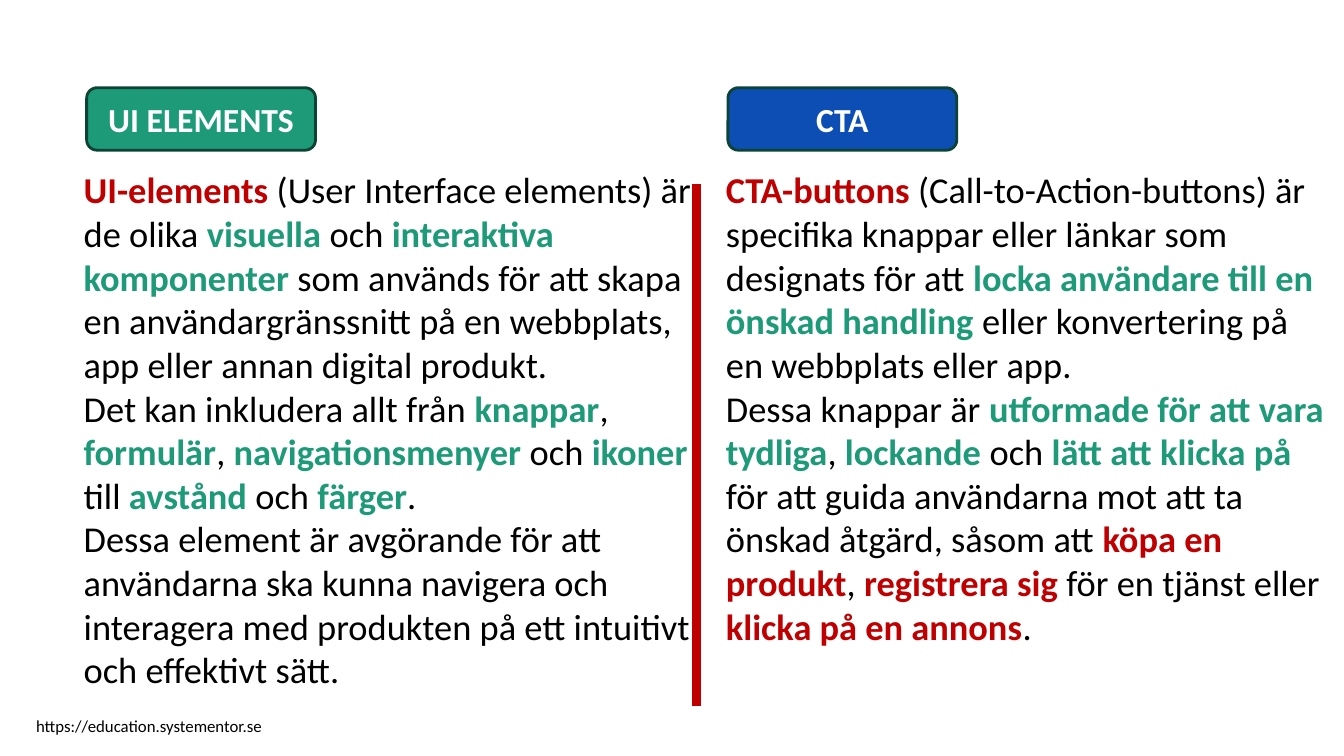
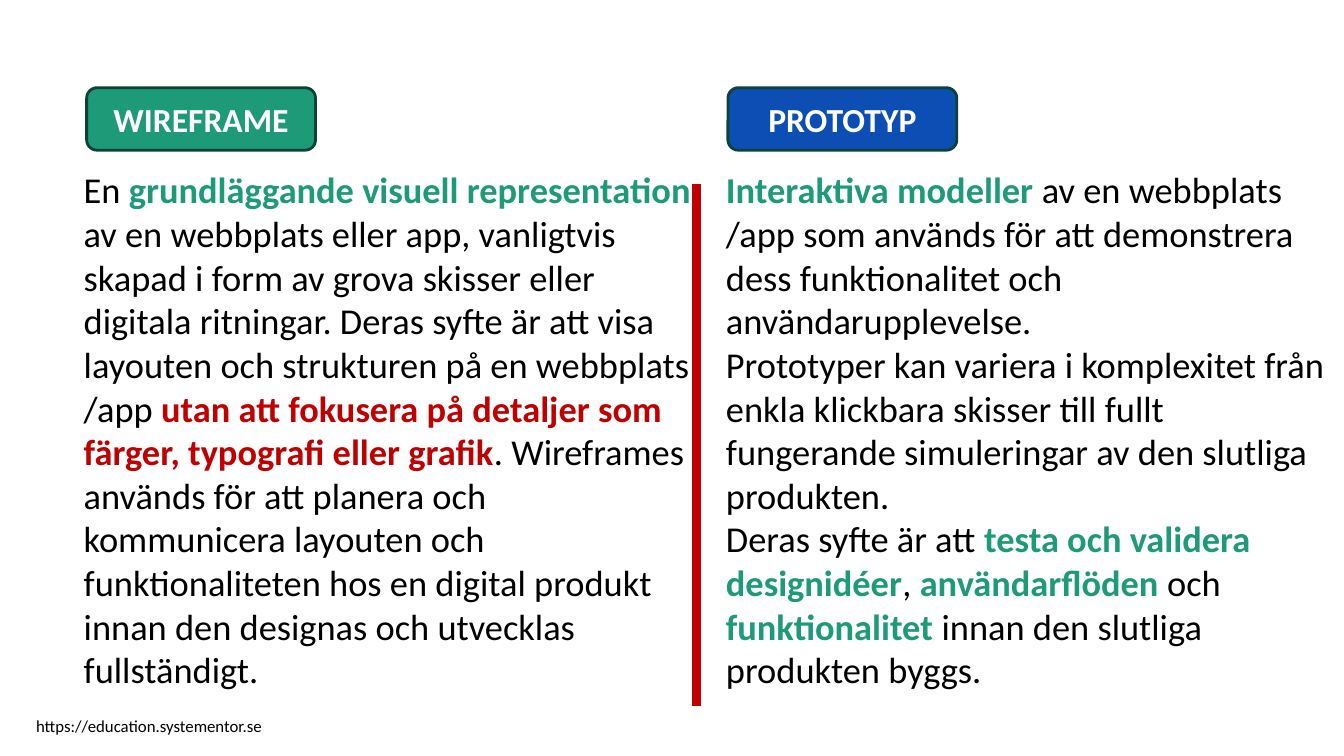
from dataclasses import dataclass
from typing import NamedTuple

from lxml.etree import SubElement
from pptx import Presentation
from pptx.dml.color import RGBColor
from pptx.enum.shapes import MSO_CONNECTOR as Connector, MSO_SHAPE as Shape
from pptx.enum.text import MSO_ANCHOR as Anchor, MSO_AUTO_SIZE as AutoSize, PP_ALIGN as Align
from pptx.oxml.ns import qn
from pptx.util import Inches, Pt

COLORS = {
    "black": "000000",
    "white": "FFFFFF",
    "red": "C00000",
    "green": "1D9A78",
    "blue": "0D4EB5",
    "border": "0D4335",
}
FONT = "Calibri"
FOOTER = "https://education.systementor.se"


class Span(NamedTuple):
    text: str
    color: str = "black"
    bold: bool = False


@dataclass(frozen=True)
class Column:
    body_left: float
    body_width: float
    badge_left: float
    badge_color: str


@dataclass(frozen=True)
class Topic:
    heading: str
    paragraphs: list[list[Span]]


COLUMNS = (
    Column(0.7, 6.3, 0.86, "green"),
    Column(7.07, 6.23, 7.22, "blue"),
)


def green(text: str) -> Span:
    return Span(text, "green", True)


def red(text: str) -> Span:
    return Span(text, "red", True)


def plain(text: str) -> Span:
    return Span(text)


SLIDES = (
    (
        Topic("UI ELEMENTS", [
            [
                red("UI-elements"),
                plain(" (User Interface elements) är de olika "),
                green("visuella"),
                plain(" och "),
                green("interaktiva komponenter"),
                plain(" som används för att skapa en användargränssnitt på en webbplats, "
                      "app eller annan digital produkt."),
            ],
            [
                plain("Det kan inkludera allt från "),
                green("knappar"),
                plain(", "),
                green("formulär"),
                plain(", "),
                green("navigationsmenyer"),
                plain(" och "),
                green("ikoner"),
                plain(" till "),
                green("avstånd"),
                plain(" och "),
                green("färger"),
                plain("."),
            ],
            [
                plain("Dessa element är avgörande för att användarna ska kunna navigera och "
                      "interagera med produkten på ett intuitivt och effektivt sätt."),
            ],
        ]),
        Topic("CTA", [
            [
                red("CTA-buttons"),
                plain(" (Call-to-Action-buttons) är specifika knappar eller länkar "
                      "som designats för att "),
                green("locka användare till en önskad handling"),
                plain(" eller konvertering på en webbplats eller app."),
            ],
            [
                plain("Dessa knappar är "),
                green("utformade för att vara tydliga"),
                plain(", "),
                green("lockande"),
                plain(" och "),
                green("lätt att klicka på "),
                plain("för att guida användarna mot att ta önskad åtgärd, såsom att "),
                red("köpa en produkt"),
                plain(", "),
                red("registrera sig"),
                plain(" för en tjänst eller "),
                red("klicka på en annons"),
                plain("."),
            ],
        ]),
    ),
    (
        Topic("WIREFRAME", [
            [
                plain("En "),
                green("grundläggande visuell representation "),
                plain("av en webbplats eller app, vanligtvis skapad i form av grova skisser "
                      "eller digitala ritningar. Deras syfte är att visa layouten och "
                      "strukturen på en webbplats /app "),
                red("utan att fokusera på detaljer som färger, typografi eller grafik"),
                plain(". Wireframes används för att planera och kommunicera layouten och "
                      "funktionaliteten hos en digital produkt innan den designas och "
                      "utvecklas fullständigt."),
            ],
        ]),
        Topic("PROTOTYP", [
            [
                green("Interaktiva modeller"),
                plain(" av en webbplats /app som används för att demonstrera dess "
                      "funktionalitet och användarupplevelse."),
            ],
            [
                plain("Prototyper kan variera i komplexitet från enkla klickbara skisser "
                      "till fullt fungerande simuleringar av den slutliga produkten."),
            ],
            [
                plain("Deras syfte är att "),
                green("testa och validera designidéer"),
                plain(", "),
                green("användarflöden"),
                plain(" och "),
                green("funktionalitet"),
                plain(" innan den slutliga produkten byggs."),
            ],
        ]),
    ),
)


def rgb(name: str) -> RGBColor:
    return RGBColor.from_string(COLORS[name])


def write_span(para, text: str, *, size: float, color: str = "black", bold: bool = False) -> None:
    run = para.add_run()
    run.text = text
    run.font.name = FONT
    run.font.size = Pt(size)
    run.font.bold = bold
    run.font.color.rgb = rgb(color)


def fill_body(body, column: Column, paragraphs: list[list[Span]]) -> None:
    body.left, body.top = Inches(column.body_left), Inches(1.59)
    body.width, body.height = Inches(column.body_width), Inches(5.41)
    frame = body.text_frame
    frame.auto_size = AutoSize.NONE
    frame.word_wrap = True
    frame.vertical_anchor = Anchor.TOP
    frame.margin_left = frame.margin_right = Inches(0.13)
    frame.margin_top = frame.margin_bottom = Inches(0.07)
    for index, spans in enumerate(paragraphs):
        para = frame.add_paragraph() if index else frame.paragraphs[0]
        properties = para._p.get_or_add_pPr()
        properties.set("marL", "0")
        properties.set("indent", "0")
        SubElement(properties, qn("a:buNone"))
        para.space_before = Pt(0)
        for span in spans:
            write_span(para, span.text, size=26, color=span.color, bold=span.bold)


def add_footer(page) -> None:
    box = page.shapes.add_textbox(Inches(0.26), Inches(7.05), Inches(3.9), Inches(0.3))
    box.text_frame.word_wrap = True
    box.text_frame.auto_size = AutoSize.SHAPE_TO_FIT_TEXT
    write_span(box.text_frame.paragraphs[0], FOOTER, size=12)


def add_divider(page) -> None:
    line = page.shapes.add_connector(
        Connector.STRAIGHT, Inches(6.91), Inches(1.83), Inches(6.91), Inches(7))
    line.line.color.rgb = rgb("red")
    line.line.width = Pt(6)
    SubElement(line._element.spPr, qn("a:effectLst"))


def add_badge(page, column: Column, heading: str) -> None:
    badge = page.shapes.add_shape(
        Shape.ROUNDED_RECTANGLE, Inches(column.badge_left), Inches(0.87), Inches(2.27), Inches(0.62))
    badge.shadow.inherit = False
    badge.fill.solid()
    badge.fill.fore_color.rgb = rgb(column.badge_color)
    badge.line.color.rgb = rgb("border")
    badge.line.width = Pt(2)
    badge.text_frame.vertical_anchor = Anchor.MIDDLE
    para = badge.text_frame.paragraphs[0]
    para.alignment = Align.CENTER
    write_span(para, heading, size=24, color="white", bold=True)


def add_comparison(deck, topics: tuple[Topic, Topic]) -> None:
    page = deck.slides.add_slide(deck.slide_layouts.get_by_name("Two Content"))
    title, *bodies = page.placeholders
    title._element.getparent().remove(title._element)
    for body, column, topic in zip(bodies, COLUMNS, topics):
        fill_body(body, column, topic.paragraphs)
    add_footer(page)
    add_divider(page)
    for column, topic in zip(COLUMNS, topics):
        add_badge(page, column, topic.heading)


def main() -> None:
    deck = Presentation()
    deck.slide_width, deck.slide_height = Inches(13.33), Inches(7.5)
    for topics in SLIDES:
        add_comparison(deck, topics)
    deck.save("out.pptx")


if __name__ == "__main__":
    main()
